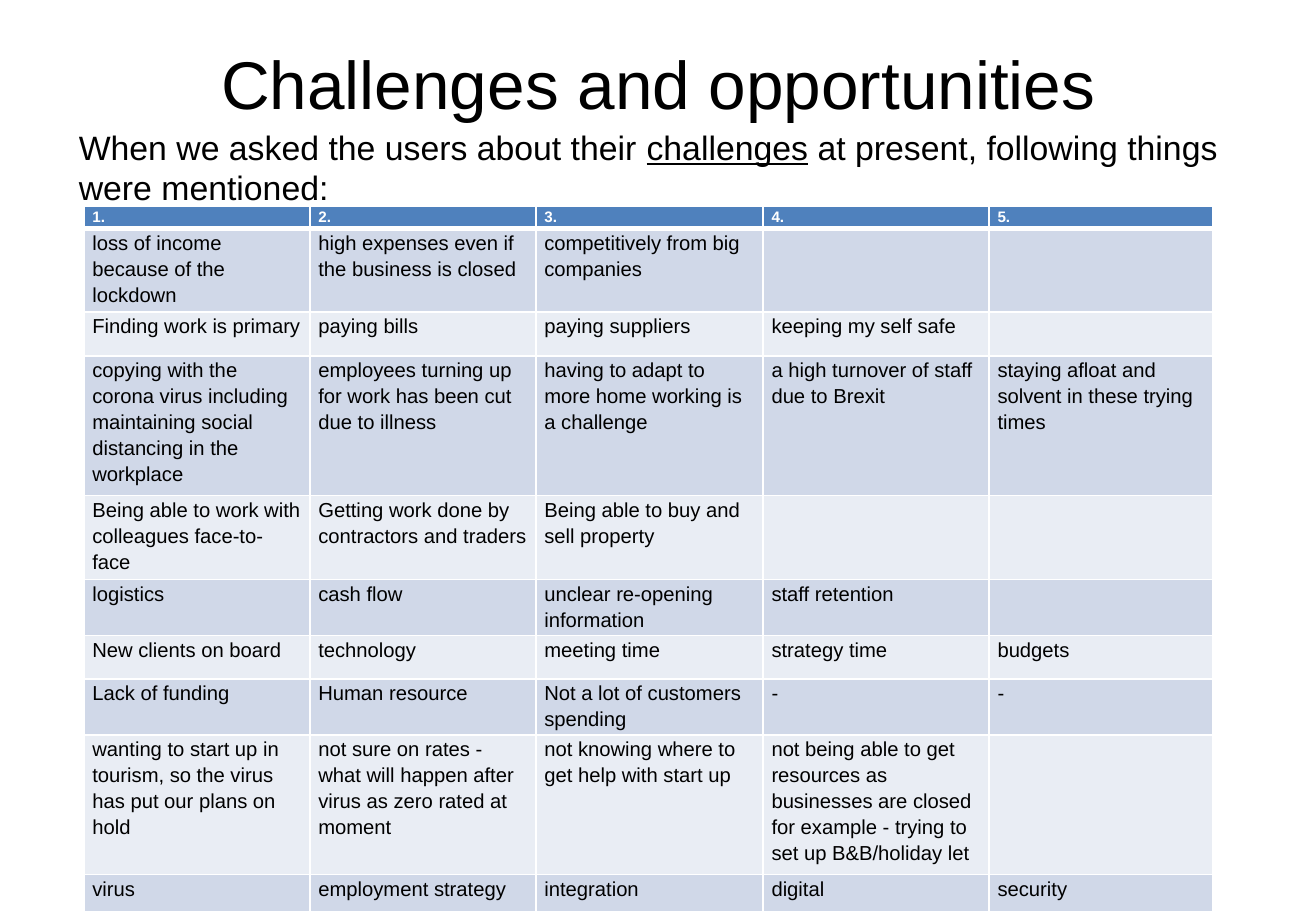
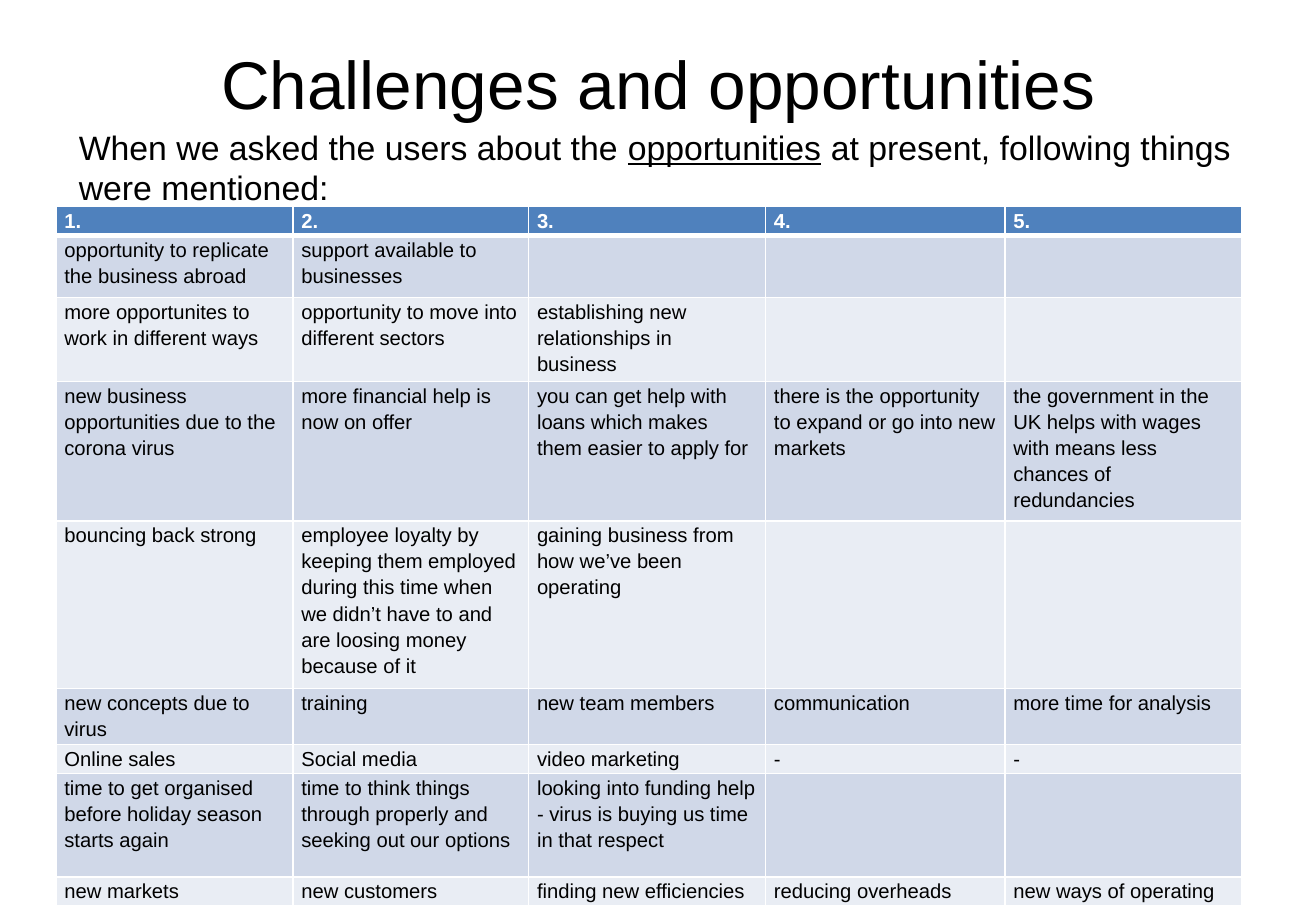
from itertools import product

from lxml import etree
from pptx import Presentation
from pptx.dml.color import RGBColor
from pptx.enum import text as tx
from pptx.oxml import ns
from pptx.util import Inches, Pt

FONT = "Arial"
BLACK = RGBColor(0x00, 0x00, 0x00)
WHITE = RGBColor(0xFF, 0xFF, 0xFF)
BLUE = RGBColor(0x4F, 0x81, 0xBD)
DARK = RGBColor(0xD0, 0xD8, 0xE8)
LIGHT = RGBColor(0xE9, 0xED, 0xF4)

HEADS = ["1.", "2.", "3.", "4.", "5."]
TITLE = (0.54, 0.3, 9.75, 1.25)
INTRO = (0.54, 0.99, 9.75, 6.21)


def add_run(para, words, size, color=BLACK, bold=False, under=False):
    """Add one run of styled text to a paragraph."""
    run = para.add_run()
    run.text = words
    font = run.font
    font.name, font.size, font.bold = FONT, Pt(size), bold
    font.color.rgb = color
    if under:
        font.underline = True


def add_title(slide, box, words):
    """Move the title placeholder into the box and fill it."""
    title = slide.shapes.title
    title.left, title.top, title.width, title.height = map(Inches, box)
    frame = title.text_frame
    frame.auto_size = tx.MSO_AUTO_SIZE.NONE
    frame.vertical_anchor = tx.MSO_ANCHOR.TOP
    para = frame.paragraphs[0]
    para.alignment = tx.PP_ALIGN.CENTER
    add_run(para, words, 40)


def add_intro(slide, box, start, topic):
    """Write the lead sentence with its topic underlined."""
    frame = slide.shapes.add_textbox(*map(Inches, box)).text_frame
    frame.word_wrap = True
    para = frame.paragraphs[0]
    para.space_before = Pt(4)
    para._p.get_or_add_pPr().set("marL", str(Inches(0.01)))
    add_run(para, start, 20)
    add_run(para, topic, 20, under=True)
    add_run(para, " at present, following things were mentioned:", 20)


def add_edges(cell, top, base):
    """Draw white cell borders; top and base are widths in points."""
    props = cell._tc.get_or_add_tcPr()
    for side, width in (("L", 1), ("R", 1), ("T", top), ("B", base)):
        line = etree.SubElement(props, ns.qn("a:ln" + side), w=str(Pt(width)))
        fill = etree.SubElement(line, ns.qn("a:solidFill"))
        etree.SubElement(fill, ns.qn("a:srgbClr"), val=str(WHITE))


def add_grid(slide, box, cols, highs, rows, head):
    """Place a banded table of answers; head is the header text size."""
    rows = [HEADS] + rows
    frame = slide.shapes.add_table(len(rows), len(cols), *map(Inches, box))
    table = frame.table
    for col, width in zip(table.columns, cols):
        col.width = Inches(width)
    for row, high in zip(table.rows, highs):
        row.height = Inches(high)
    frame.height = Inches(box[3])
    for r, c in product(range(len(rows)), range(len(cols))):
        cell = table.cell(r, c)
        cell.margin_left = cell.margin_right = Inches(0.07)
        cell.margin_top = cell.margin_bottom = 0
        add_edges(cell, 3 if r == 1 else 1, 3 if r == 0 else 1)
        cell.fill.solid()
        cell.fill.fore_color.rgb = BLUE if r == 0 else DARK if r % 2 else LIGHT
        para = cell.text_frame.paragraphs[0]
        para.line_spacing = 1.15
        words = rows[r][c] if c < len(rows[r]) else ""
        if r == 0:
            add_run(para, words, head, WHITE, bold=True)
        elif words:
            add_run(para, words, 12)


def add_page(deck, start, topic, **grid):
    """Build one slide: title, lead sentence and table."""
    slide = deck.slides.add_slide(deck.slide_layouts[5])
    add_title(slide, TITLE, "Challenges and opportunities")
    add_intro(slide, INTRO, start, topic)
    add_grid(slide, **grid)


TRIALS = [
    ["loss of income because of the lockdown",
     "high expenses even if the business is closed",
     "competitively from big companies"],
    ["Finding work is primary", "paying bills", "paying suppliers",
     "keeping my self safe"],
    ["copying with the corona virus including maintaining social distancing "
     "in the workplace",
     "employees turning up for work has been cut due to illness",
     "having to adapt to more home working is a challenge",
     "a high turnover of staff due to Brexit",
     "staying afloat and solvent in these trying times"],
    ["Being able to work with colleagues face-to-face",
     "Getting work done by contractors and traders",
     "Being able to buy and sell property"],
    ["logistics", "cash flow", "unclear re-opening information",
     "staff retention"],
    ["New clients on board", "technology", "meeting time", "strategy time",
     "budgets"],
    ["Lack of funding", "Human resource", "Not a lot of customers spending",
     "-", "-"],
    ["wanting to start up in tourism, so the virus has put our plans on hold",
     "not sure on rates - what will happen after virus as zero rated at moment",
     "not knowing where to get help with start up",
     "not being able to get resources as businesses are closed for example - "
     "trying to set up B&B/holiday let"],
    ["virus", "employment strategy", "integration", "digital", "security"],
]

CHANCES = [
    ["opportunity to replicate the business abroad",
     "support available to businesses"],
    ["more opportunites to work in different ways",
     "opportunity to move into different sectors",
     "establishing new relationships in business"],
    ["new business opportunities due to the corona virus",
     "more financial help is now on offer",
     "you can get help with loans which makes them easier to apply for",
     "there is the opportunity to expand or go into new markets",
     "the government in the UK helps with wages with means less chances of "
     "redundancies"],
    ["bouncing back strong",
     "employee loyalty by keeping them employed during this time when we "
     "didn’t have to and are loosing money because of it",
     "gaining business from how we’ve been operating"],
    ["new concepts due to virus", "training", "new team members",
     "communication", "more time for analysis"],
    ["Online sales", "Social media", "video marketing", "-", "-"],
    ["time to get organised before holiday season starts again",
     "time to think things through properly and seeking out our options",
     "looking into funding help - virus is buying us time in that respect"],
    ["new markets", "new customers", "finding new efficiencies",
     "reducing overheads", "new ways of operating"],
]

deck = Presentation()
deck.slide_width, deck.slide_height = Inches(10.83), Inches(7.5)
add_page(deck, "When we asked the users about their ", "challenges",
         box=(0.69, 1.7, 9.29, 5.77), cols=[1.86, 1.86, 1.87, 1.86, 1.84],
         highs=[0.18, 0.54, 0.36, 1.1, 0.54, 0.36, 0.36, 0.37, 1.1, 0.36],
         rows=TRIALS, head=9)
add_page(deck, "When we asked the users about the ", "opportunities",
         box=(0.46, 1.7, 9.75, 5.71), cols=[1.95, 1.94, 1.95, 1.97, 1.95],
         highs=[0.24, 0.51, 0.51, 0.77, 1.29, 0.24, 0.24, 0.85, 0.24],
         rows=CHANCES, head=12)
deck.save("out.pptx")
